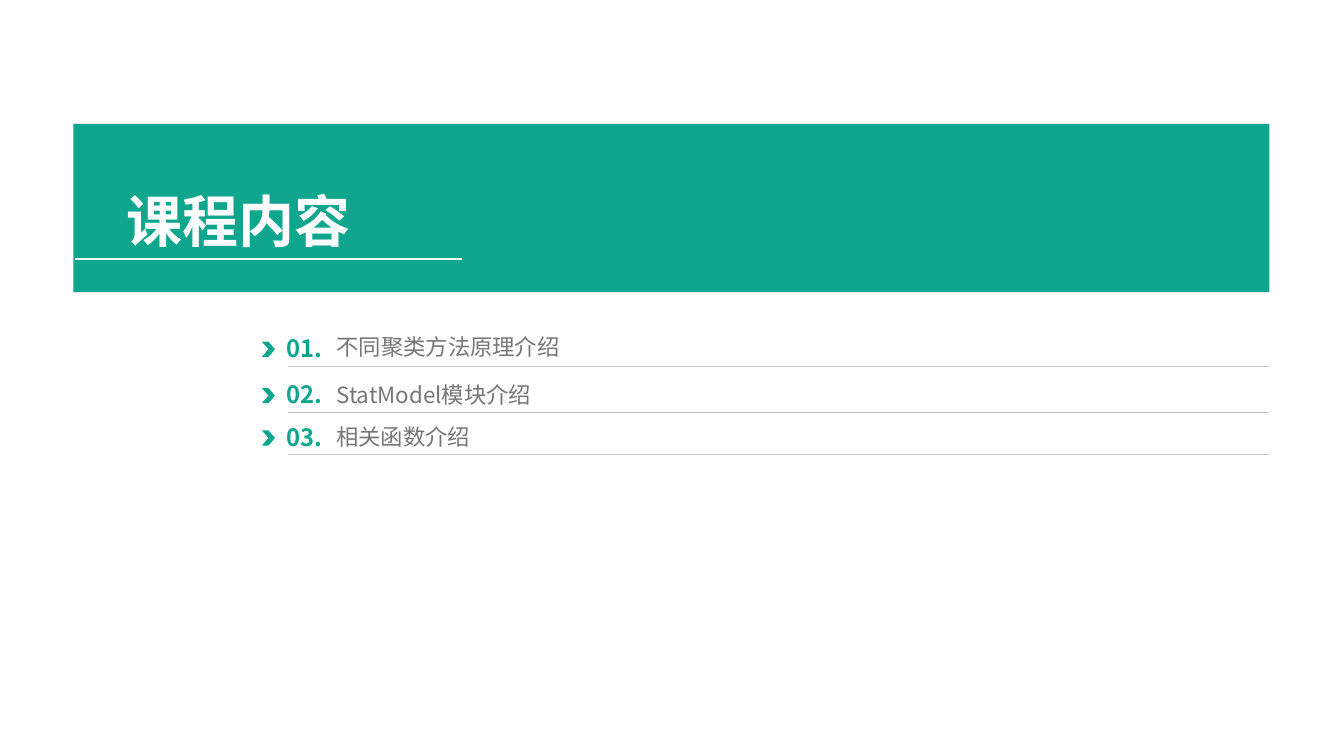
from lxml.etree import SubElement
from pptx import Presentation
from pptx.dml.color import RGBColor
from pptx.enum.shapes import MSO_CONNECTOR, MSO_SHAPE
from pptx.enum.text import MSO_ANCHOR, MSO_AUTO_SIZE, PP_ALIGN
from pptx.oxml.ns import qn
from pptx.util import Inches, Pt

GREEN = RGBColor(0x10, 0xA6, 0x8E)
WHITE = RGBColor(0xFF, 0xFF, 0xFF)
GRAY = RGBColor(0x77, 0x76, 0x76)
RULE_GRAY = RGBColor(0xBF, 0xBF, 0xBF)
FONT = "Noto Sans CJK SC"
RIGHT = 12.6
TOPICS = [
    (3.63, "不同聚类方法原理介绍"),
    (4.09, "StatModel模块介绍"),
    (4.51, "相关函数介绍"),
]


def write(holder, text, *, size, color, bold=False, align=PP_ALIGN.LEFT,
          anchor=MSO_ANCHOR.TOP, spacing=1.0):
    frame = holder.text_frame
    frame.word_wrap = True
    frame.auto_size = MSO_AUTO_SIZE.NONE
    frame.vertical_anchor = anchor
    paragraph = frame.paragraphs[0]
    properties = paragraph._p.get_or_add_pPr()
    properties.set("marL", "0")
    properties.set("indent", "0")
    SubElement(properties, qn("a:buNone"))
    paragraph.alignment = align
    paragraph.line_spacing = spacing
    paragraph.space_before = Pt(0)
    run = paragraph.add_run()
    run.text = text
    run.font.size = Pt(size)
    run.font.bold = bold
    run.font.color.rgb = color
    run.font.name = FONT
    SubElement(run._r.get_or_add_rPr(), qn("a:ea"), typeface=FONT)


class AgendaSlide:
    """Draws the agenda elements on one slide in a shared style."""

    def __init__(self, slide, accent):
        self.slide = slide
        self.shapes = slide.shapes
        self.accent = accent

    def fill(self, shape):
        shape.shadow.inherit = False
        shape.fill.solid()
        shape.fill.fore_color.rgb = self.accent
        shape.line.fill.background()

    def banner(self, *box):
        band = self.shapes.add_shape(MSO_SHAPE.RECTANGLE, *map(Inches, box))
        self.fill(band)

    def placeholder(self, index, text, box, **style):
        holder = self.slide.placeholders[index]
        holder.left, holder.top, holder.width, holder.height = map(Inches, box)
        self.shapes._spTree.append(holder._element)
        write(holder, text, **style)

    def label(self, text, box, **style):
        write(self.shapes.add_textbox(*map(Inches, box)), text, **style)

    def rule(self, left, right, y, color, width):
        line = self.shapes.add_connector(
            MSO_CONNECTOR.STRAIGHT, Inches(left), Inches(y), Inches(right), Inches(y))
        line.line.color.rgb = color
        line.line.width = Pt(width)
        SubElement(line._element.spPr, qn("a:effectLst"))

    def chevron(self, left, top, width=0.13, height=0.15):
        outline = [(0.5, 0), (1, 0.5), (0.5, 1), (0, 1), (0.5, 0.5)]
        builder = self.shapes.build_freeform(Inches(left), Inches(top))
        builder.add_line_segments(
            [(Inches(left + x * width), Inches(top + y * height)) for x, y in outline])
        self.fill(builder.convert_to_shape())

    def topic(self, number, text, rule_y):
        self.label(f"{number:02}.", (2.73, rule_y - 0.38, 0.59, 0.44), size=17,
                   color=self.accent, bold=True, align=PP_ALIGN.CENTER,
                   anchor=MSO_ANCHOR.MIDDLE, spacing=0.9)
        self.chevron(2.6, rule_y - 0.24)
        self.rule(2.86, RIGHT, rule_y, RULE_GRAY, 0.25)
        if number == 1:
            self.placeholder(1, text, (3.24, rule_y - 0.32, 8.05, 0.32),
                             size=16, color=GRAY, spacing=0.8)
        else:
            self.label(text, (3.24, rule_y - 0.36, 8.06, 0.37), size=16, color=GRAY)


def main():
    deck = Presentation()
    deck.slide_width, deck.slide_height = Inches(13.34), Inches(7.5)
    agenda = AgendaSlide(deck.slides.add_slide(deck.slide_layouts[1]), GREEN)
    agenda.banner(0.73, 1.23, 11.87, 1.67)
    agenda.placeholder(0, "课程内容", (0.73, 1.8, 3.28, 0.77), size=40, color=WHITE,
                       bold=True, align=PP_ALIGN.CENTER, anchor=MSO_ANCHOR.MIDDLE)
    agenda.rule(0.74, 4.59, 2.57, WHITE, 1.5)
    for number, (rule_y, text) in enumerate(TOPICS, start=1):
        agenda.topic(number, text, rule_y)
    deck.save("out.pptx")


if __name__ == "__main__":
    main()
